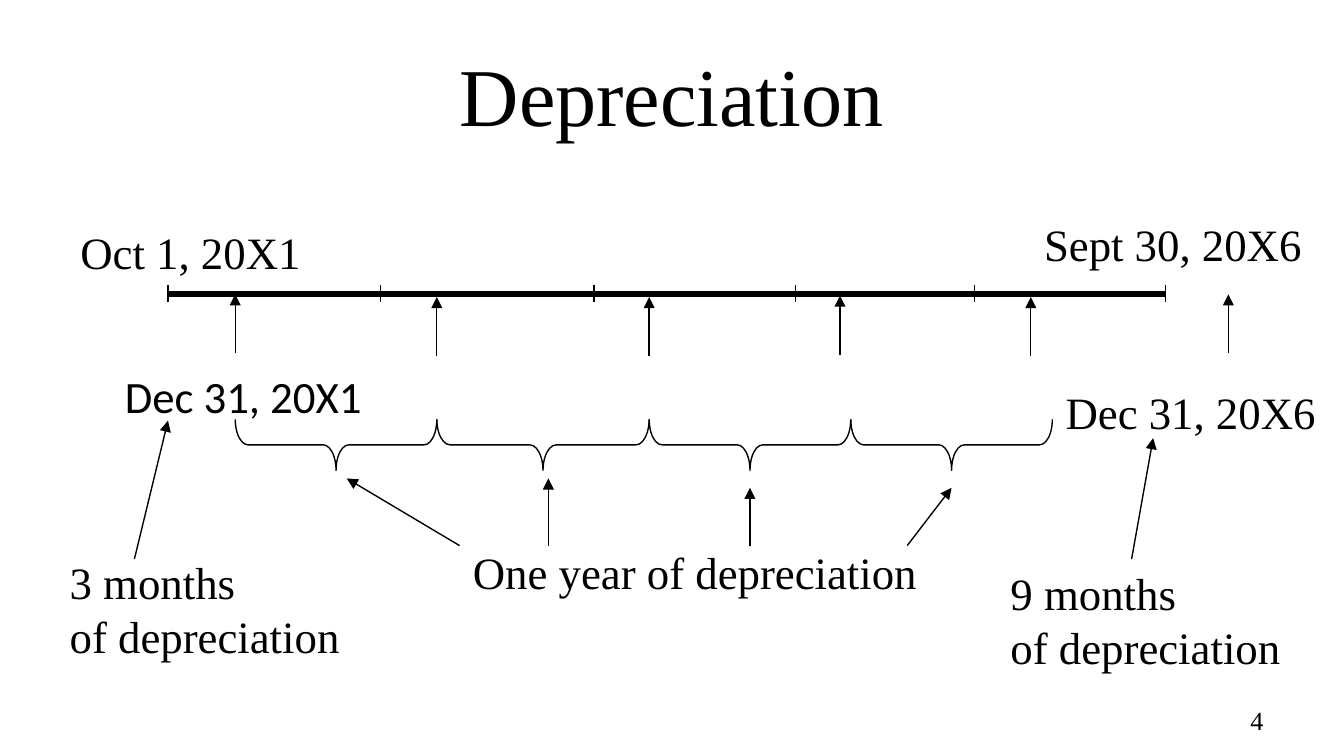
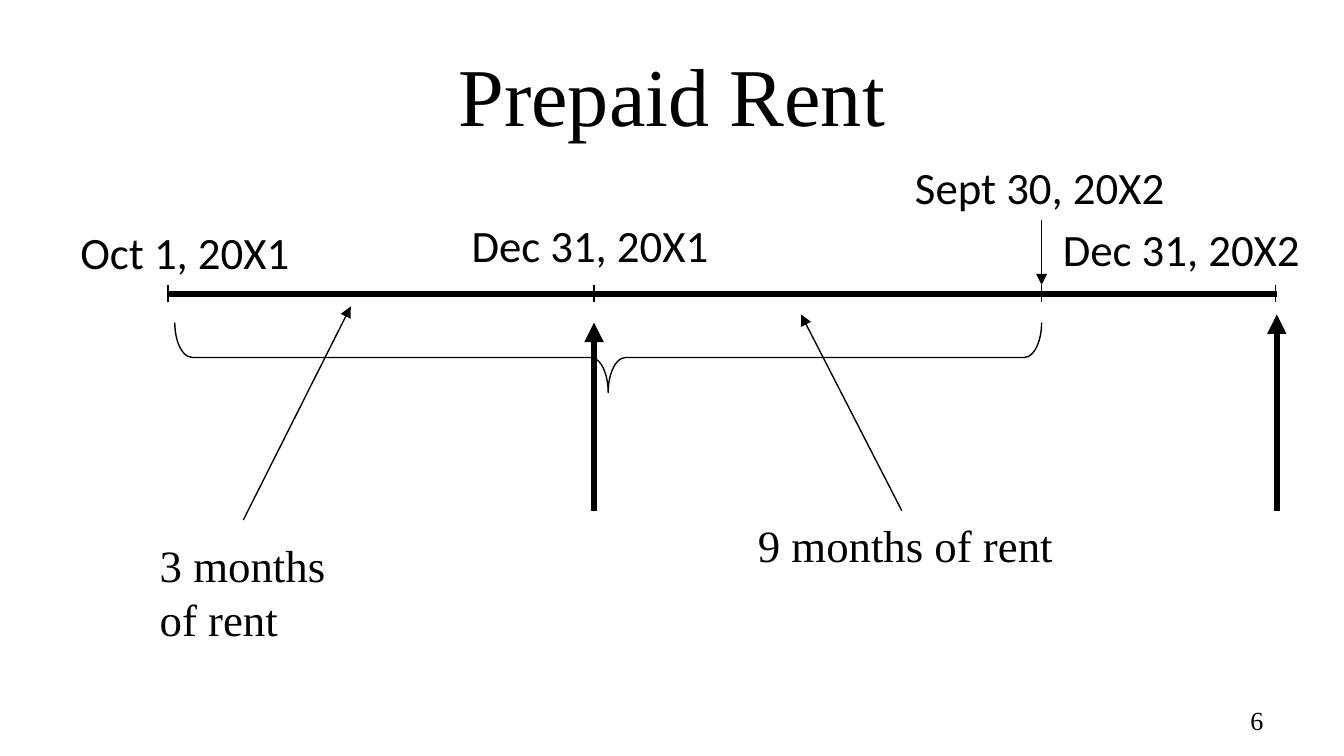
from dataclasses import dataclass

from lxml import etree
from pptx import Presentation
from pptx import util as u
from pptx.dml.color import RGBColor
from pptx.enum import shapes, text
from pptx.oxml import ns


@dataclass(frozen=True)
class Theme:
    ink: RGBColor = RGBColor(0, 0, 0)
    paper: RGBColor = RGBColor(255, 255, 255)
    serif: str = "Times New Roman"
    sans: str = "Calibri"
    title_size: float = 44
    label_size: float = 24
    number_size: float = 14
    thin: float = 0.75
    axis: float = 3
    heavy: float = 3.5


THEME = Theme()
TITLE_ONLY = 5


@dataclass(frozen=True)
class Box:
    left: float
    top: float
    width: float
    height: float

    def inside(self, left, top, width, height):
        return Box(self.left + left, self.top + top, width, height)

    def lengths(self):
        return [u.Inches(v) for v in (self.left, self.top, self.width, self.height)]


def write_text(shape, words, size, font, align, anchor, wrap):
    frame = shape.text_frame
    frame.text = words
    frame.word_wrap = wrap
    frame.vertical_anchor = anchor
    for paragraph in frame.paragraphs:
        paragraph.alignment = align
        for run in paragraph.runs:
            run.font.size = u.Pt(size)
            run.font.name = font
            run.font.color.rgb = THEME.ink


def add_label(slide, box, words, font=THEME.serif, anchor=text.MSO_ANCHOR.TOP):
    shape = slide.shapes.add_textbox(*box.lengths())
    write_text(shape, words, THEME.label_size, font,
               text.PP_ALIGN.LEFT, anchor, False)


def add_line(slide, box, start, end, width=THEME.thin, arrow=False):
    points = [u.Inches(v) for x, y in (start, end)
              for v in (box.left + x, box.top + y)]
    connector = slide.shapes.add_connector(shapes.MSO_CONNECTOR.STRAIGHT, *points)
    connector.line.color.rgb = THEME.ink
    connector.line.width = u.Pt(width)
    properties = connector._element.spPr
    if arrow:
        outline = properties.find(ns.qn("a:ln"))
        etree.SubElement(outline, ns.qn("a:tailEnd"), type="triangle")
    etree.SubElement(properties, ns.qn("a:effectLst"))


def add_brace(slide, box, bend=0.25):
    upright = box.inside((box.width - box.height) / 2, (box.height - box.width) / 2,
                         box.height, box.width)
    shape = slide.shapes.add_shape(shapes.MSO_SHAPE.RIGHT_BRACE, *upright.lengths())
    shape.rotation = 90
    shape.adjustments[0] = bend
    shape.shadow.inherit = False
    shape.fill.background()
    shape.line.color.rgb = THEME.ink
    shape.line.width = u.Pt(THEME.thin)


def add_titled_slide(presentation, title, number):
    slide = presentation.slides.add_slide(presentation.slide_layouts[TITLE_ONLY])
    slide.background.fill.solid()
    slide.background.fill.fore_color.rgb = THEME.paper
    heading = slide.shapes.title
    heading.left, heading.top, heading.width, heading.height = \
        Box(0.5, 0.23, 9, 0.94).lengths()
    write_text(heading, title, THEME.title_size, THEME.serif,
               text.PP_ALIGN.CENTER, text.MSO_ANCHOR.MIDDLE, True)
    footer = slide.shapes.add_textbox(*Box(7.17, 5.21, 2.33, 0.3).lengths())
    write_text(footer, number, THEME.number_size, THEME.serif,
               text.PP_ALIGN.RIGHT, text.MSO_ANCHOR.MIDDLE, True)
    return slide


def add_timeline(slide, box, ticks):
    middle = 0.07
    add_line(slide, box, (0, middle), (box.width, middle), THEME.axis)
    for x in ticks:
        add_line(slide, box, (x, 0), (x, box.height))


def add_year_ends(slide, box, year_ends):
    for x, y in year_ends:
        add_line(slide, box, (x, y + box.height), (x, y), arrow=True)


def add_full_years(slide, box, edges, bends, pointers):
    depth = 0.38
    for start, end, bend in zip(edges, edges[1:], bends):
        add_brace(slide, box.inside(start, 0, end - start, depth), bend)
    for start, tip, tip_y in pointers:
        add_line(slide, box, (start, 0.94), (tip, tip_y), arrow=True)
    add_label(slide, box.inside(1.67, 0.88, 3.53, 0.51), "One year of depreciation")


def add_part_year(slide, box, words, start, tip):
    add_label(slide, box, words)
    add_line(slide, box, start, tip, arrow=True)


def build_depreciation(presentation):
    slide = add_titled_slide(presentation, "Depreciation", "4")
    add_timeline(slide, Box(1.25, 2.12, 7.42, 0.13), [0, 1.58, 3.17, 4.67, 6, 7.42])
    add_year_ends(slide, Box(1.75, 2.19, 7.39, 0.44),
                  [(0, 0), (1.5, 0.02), (3.08, 0.02),
                   (4.5, 0.01), (5.92, 0.02), (7.39, 0)])
    add_label(slide, Box(0.5, 1.62, 1.86, 0.51), "Oct 1, 20X1")
    add_label(slide, Box(7.67, 1.56, 2.14, 0.51), "Sept 30, 20X6")
    add_label(slide, Box(0.83, 2.69, 2.01, 0.51), "Dec 31, 20X1",
              THEME.sans, text.MSO_ANCHOR.MIDDLE)
    add_label(slide, Box(7.83, 2.81, 2.08, 0.51), "Dec 31, 20X6")
    add_full_years(slide, Box(1.75, 3.12, 6.08, 1.39), [0, 1.5, 3.08, 4.58, 6.08],
                   [0.25, 0.26, 0.25, 0.25],
                   [(1.67, 0.83, 0.44), (2.33, 2.33, 0.44),
                    (3.83, 3.83, 0.51), (5, 5.33, 0.51)])
    add_part_year(slide, Box(0.42, 4.08, 2.23, 0.91), "3 months\nof depreciation",
                  (0.58, 0.08), (0.83, -0.95))
    add_part_year(slide, Box(7.42, 4.16, 2.23, 0.91), "9 months\nof depreciation",
                  (1, 0), (1.16, -0.9))


def add_rent_dates(slide, box):
    middle = text.MSO_ANCHOR.MIDDLE
    top = text.MSO_ANCHOR.TOP
    for left, y, width, words, anchor in [
        (0, 0.48, 1.77, "Oct 1, 20X1", top),
        (2.91, 0.43, 2.01, "Dec 31, 20X1", middle),
        (6.21, 0, 2.07, "Sept 30, 20X2", top),
        (7.31, 0.46, 1.98, "Dec 31, 20X2", top),
    ]:
        add_label(slide, box.inside(left, y, width, 0.5), words, THEME.sans, anchor)
    add_line(slide, box, (7.25, 0.5), (7.25, 0.98), arrow=True)


def add_reporting_dates(slide, box, tips):
    for x, y in tips:
        add_line(slide, box, (x, box.height), (x, y), THEME.heavy, arrow=True)


def build_prepaid_rent(presentation):
    slide = add_titled_slide(presentation, "Prepaid Rent", "6")
    add_timeline(slide, Box(1.25, 2.12, 8.25, 0.13), [0, 3.17, 6.5, 8.24])
    add_rent_dates(slide, Box(0.5, 1.14, 9.29, 1))
    add_reporting_dates(slide, Box(4.42, 2.34, 5.08, 1.46), [(0, 0.06), (5.08, 0)])
    add_brace(slide, Box(1.3, 2.4, 6.45, 0.52))
    add_part_year(slide, Box(1.09, 3.95, 1.44, 0.91), "3 months\nof rent",
                  (0.72, -0.08), (1.52, -1.67))
    add_part_year(slide, Box(5.54, 3.8, 2.68, 0.51), "9 months of rent",
                  (1.17, 0), (0.42, -1.46))


def main():
    presentation = Presentation()
    presentation.slide_width = u.Inches(10)
    presentation.slide_height = presentation.slide_width * 9 // 16
    build_depreciation(presentation)
    build_prepaid_rent(presentation)
    presentation.save("out.pptx")


if __name__ == "__main__":
    main()
